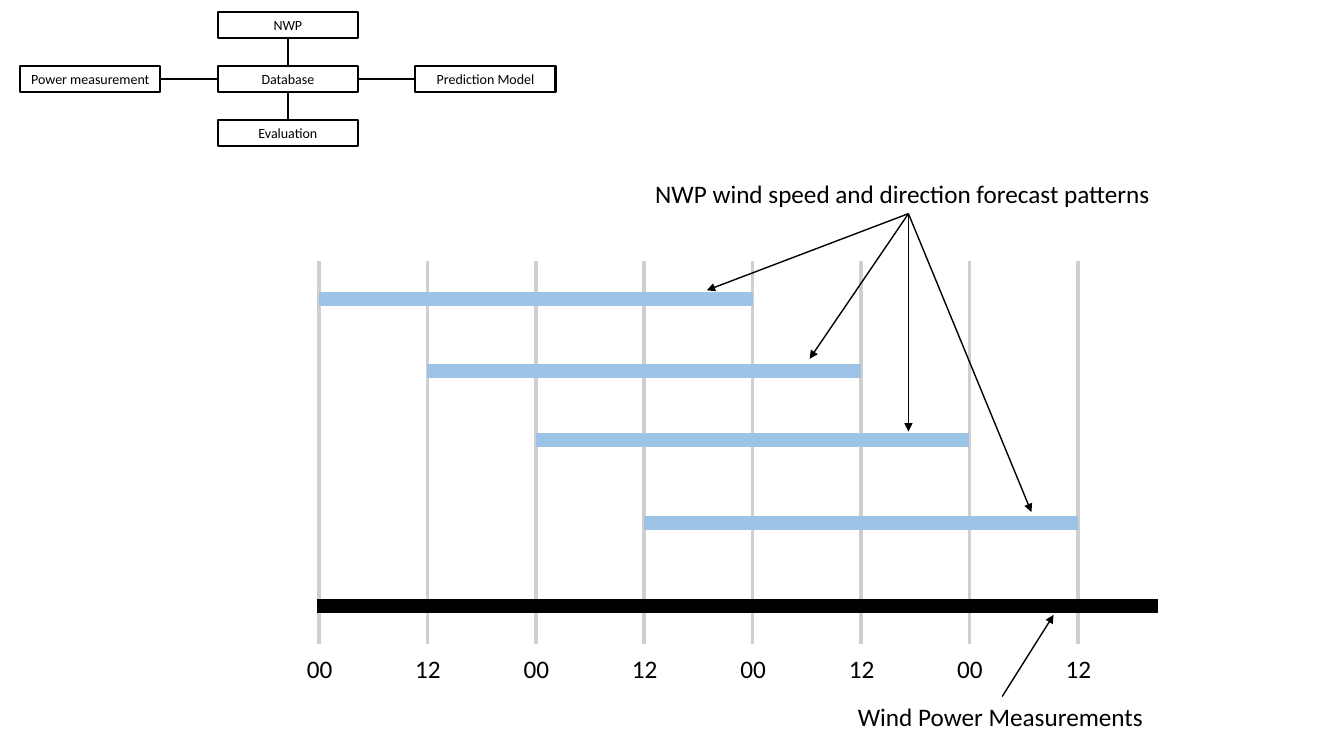
"""Build the slide on NWP forecast patterns and wind power measurements."""
from lxml import etree
from pptx import Presentation, util as u
from pptx.dml.color import RGBColor
from pptx.enum import shapes, text
from pptx.oxml.ns import qn

BLACK, WHITE, GREY, BLUE = "000000", "FFFFFF", "D0CECE", "9DC3E6"

BOXES = {"NWP": (1, 0), "Database": (1, 1), "Power measurement": (0, 1),
         "Evaluation": (1, 2), "Prediction Model": (2, 1)}
TOP, LEFT, BOTTOM, RIGHT = range(4)
LINKS = [("Power measurement", RIGHT, "Database", LEFT),
         ("NWP", BOTTOM, "Database", TOP),
         ("Database", RIGHT, "Prediction Model", LEFT),
         ("Database", BOTTOM, "Evaluation", TOP)]
HOURS = ["00", "12"] * 4
FORECAST_ROWS = [2.97, 3.68, 4.37, 5.19]
FORECAST_SPAN = 4
CAPTIONS = [("Wind Power Measurements", 8.41, 6.91, 3.06),
            ("NWP wind speed and direction forecast patterns", 6.4, 1.72, 5.23)]
PATTERN_ORIGIN = (9.01, 2.12)
PATTERN_TIPS = [(7.01, 2.88), (8.03, 3.56), (9.01, 4.28), (10.23, 5.08)]
MEASUREMENT_ARROW = ((9.94, 6.91), (10.45, 6.1))

BOX_W, BOX_H, BOX_X, BOX_Y, COL_STEP, ROW_STEP = 1.39, 0.26, 0.2, 0.12, 1.96, 0.535
TICK_X, TICK_Y, TICK_STEP, TICK_W, TICK_H = 3.165, 2.58, 1.075, 0.05, 3.82
LABEL_Y, LABEL_W, LABEL_H = 6.43, 0.46, 0.4
AXIS_Y, AXIS_END = 6.01, 11.49


def rgb(value):
    """Turn a hex string into a colour."""
    return RGBColor.from_string(value)


def write(sp, words, size, align, **frame):
    """Put one formatted paragraph into a shape."""
    tf = sp.text_frame
    for name, value in frame.items():
        setattr(tf, name, value)
    p = tf.paragraphs[0]
    p.alignment = align
    r = p.add_run()
    r.text = words
    for name, value in {"size": u.Pt(size), "name": "Calibri"}.items():
        setattr(r.font, name, value)
    r.font.color.rgb = rgb(BLACK)


def rect(group, x, y, w, h, line, weight, fill=None):
    """Add an outlined rectangle."""
    sp = group.shapes.add_shape(shapes.MSO_SHAPE.RECTANGLE, *map(u.Inches, (x, y, w, h)))
    sp.shadow.inherit = False
    if fill:
        sp.fill.solid()
        sp.fill.fore_color.rgb = rgb(fill)
    else:
        sp.fill.background()
    sp.line.color.rgb = rgb(line)
    sp.line.width = u.Pt(weight)
    return sp


def line(group, start, end, weight, color=BLACK, arrow=False):
    """Add a straight line, with an arrowhead at its end if asked."""
    cxn = group.shapes.add_connector(
        shapes.MSO_CONNECTOR.STRAIGHT, *map(u.Inches, (*start, *end)))
    cxn.line.color.rgb = rgb(color)
    cxn.line.width = u.Pt(weight)
    if arrow:
        etree.SubElement(cxn.line._get_or_add_ln(), qn("a:tailEnd"), type="triangle")
    etree.SubElement(cxn._element.spPr, qn("a:effectLst"))
    return cxn


def label(group, words, x, y, w):
    """Add an unwrapped text box."""
    sp = group.shapes.add_textbox(*map(u.Inches, (x, y, w, LABEL_H)))
    write(sp, words, 18, text.PP_ALIGN.LEFT, word_wrap=False,
          auto_size=text.MSO_AUTO_SIZE.SHAPE_TO_FIT_TEXT)


def site(name, side):
    """Find the middle of one side of a flow box."""
    col, row = BOXES[name]
    dx, dy = {TOP: (0.5, 0), LEFT: (0, 0.5), BOTTOM: (0.5, 1), RIGHT: (1, 0.5)}[side]
    return (BOX_X + col * COL_STEP + dx * BOX_W, BOX_Y + row * ROW_STEP + dy * BOX_H)


def tick(i):
    """Find the centre of a time tick."""
    return TICK_X + i * TICK_STEP


prs = Presentation()
prs.slide_width, prs.slide_height = u.Inches(13.33), u.Inches(7.5)
s = prs.slides.add_slide(prs.slide_layouts[6])

flow = s.shapes.add_group_shape()
boxes = {}
for name, (col, row) in BOXES.items():
    boxes[name] = rect(flow, BOX_X + col * COL_STEP, BOX_Y + row * ROW_STEP,
                       BOX_W, BOX_H, BLACK, 1.5)
    write(boxes[name], name, 10, text.PP_ALIGN.CENTER,
          vertical_anchor=text.MSO_ANCHOR.MIDDLE)
for a, a_side, b, b_side in LINKS:
    link = line(flow, site(a, a_side), site(b, b_side), 1.5)
    link.begin_connect(boxes[a], a_side)
    link.end_connect(boxes[b], b_side)

timeline = s.shapes.add_group_shape()
for i in range(len(HOURS)):
    rect(timeline, tick(i) - TICK_W / 2, TICK_Y, TICK_W, TICK_H, WHITE, 1, GREY)
line(timeline, (tick(0) - TICK_W / 2, AXIS_Y), (AXIS_END, AXIS_Y), 10)
for i, hour in enumerate(HOURS):
    label(timeline, hour, tick(i) + 0.01 - LABEL_W / 2, LABEL_Y, LABEL_W)
for i, y in enumerate(FORECAST_ROWS):
    line(timeline, (tick(i), y), (tick(i + FORECAST_SPAN), y), 10, BLUE)
for caption in CAPTIONS:
    label(timeline, *caption)
for start, end in [MEASUREMENT_ARROW] + [(PATTERN_ORIGIN, tip) for tip in PATTERN_TIPS]:
    line(timeline, start, end, 1, arrow=True)

prs.save("out.pptx")
